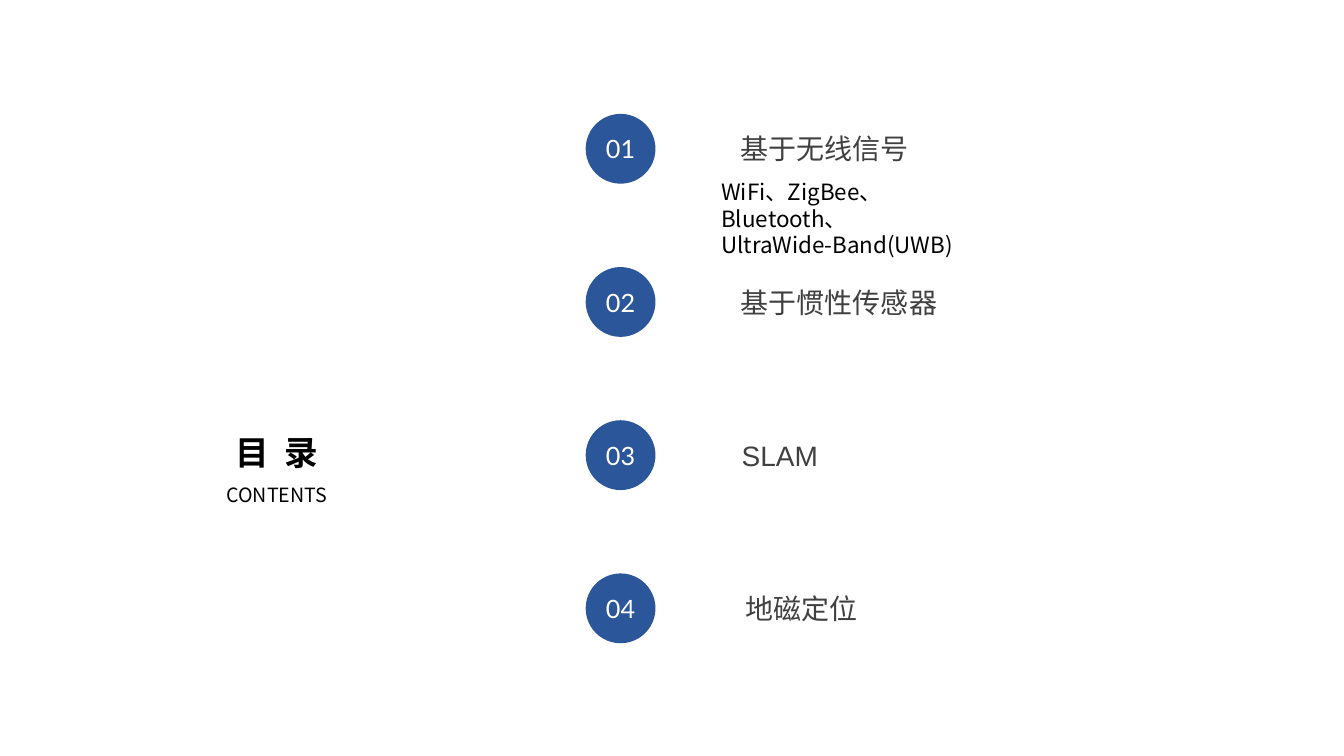
import pptx
import pptx.dml.color
import pptx.enum.shapes
import pptx.enum.text
import pptx.oxml.ns
import pptx.util
from pptx.util import Cm, Pt

COLORS = {"badge": "2B579A", "number": "FFFFFF", "heading": "404040", "text": "000000"}
CJK = "Noto Sans CJK SC"
CENTER = pptx.enum.text.PP_ALIGN.CENTER
LEFT = pptx.enum.text.PP_ALIGN.LEFT

deck = pptx.Presentation()
deck.slide_width, deck.slide_height = Cm(33.87), Cm(19.05)
slide = deck.slides.add_slide(deck.slide_layouts[6])


def write(paragraph, text, color, align=LEFT, line_spacing=None, **font_format):
    """Fill a paragraph with one run, using its font for East Asian text too."""
    paragraph.alignment = align
    paragraph.line_spacing = line_spacing
    run = paragraph.add_run()
    run.text = text
    for attribute, value in font_format.items():
        setattr(run.font, attribute, value)
    run.font.color.rgb = pptx.dml.color.RGBColor.from_string(COLORS[color])
    properties = run.font._element
    east_asian = properties.makeelement(pptx.oxml.ns.qn("a:ea"), {"typeface": font_format["name"]})
    properties.find(pptx.oxml.ns.qn("a:latin")).addnext(east_asian)
    return run


def add_text_frame(left, top, width, height, wrap=False):
    frame = slide.shapes.add_textbox(Cm(left), Cm(top), Cm(width), Cm(height)).text_frame
    frame.word_wrap = wrap
    return frame


contents = add_text_frame(5.38, 10.16, 3.2, 2.69)
title = write(contents.paragraphs[0], "目 录", "text", CENTER, Pt(46),
              name=CJK, size=Pt(24), bold=True)
title.font._element.set("spc", "280")
write(contents.add_paragraph(), "CONTENTS", "text", CENTER, Pt(24), name=CJK, size=Pt(14))

# Heading, left edge, width
sections = [
    ("基于无线信号", 18.42, 4.78),
    ("基于惯性传感器", 18.42, 5.51),
    ("SLAM", 18.44, 2.46),
    ("地磁定位", 18.54, 3.35),
]
PITCH = 3.86
for index, (heading, left, width) in enumerate(sections):
    badge = slide.shapes.add_shape(pptx.enum.shapes.MSO_SHAPE.OVAL, Cm(14.76),
                                   Cm(2.87 + index * PITCH), Cm(1.76), Cm(1.76))
    badge.shadow.inherit = False
    badge.fill.solid()
    badge.fill.fore_color.rgb = pptx.dml.color.RGBColor.from_string(COLORS["badge"])
    badge.line.fill.background()
    number = badge.text_frame
    number.vertical_anchor = pptx.enum.text.MSO_ANCHOR.MIDDLE
    number.margin_left = number.margin_right = 0
    write(number.paragraphs[0], f"{index + 1:02}", "number", CENTER, name="Lato", size=Pt(18))
    heading_frame = add_text_frame(left, 3.2 + index * PITCH, width, 1.12)
    write(heading_frame.paragraphs[0], heading, "heading", name="Arial", size=Pt(20))

technologies = add_text_frame(17.93, 4.37, 6.7, 2.2, wrap=True)
write(technologies.paragraphs[0], "WiFi、ZigBee、Bluetooth、", "text",
      line_spacing=Pt(19), name=CJK, size=Pt(16))
write(technologies.add_paragraph(), "UltraWide-Band(UWB)", "text",
      line_spacing=Pt(19), name=CJK, size=Pt(16))

deck.save("out.pptx")
